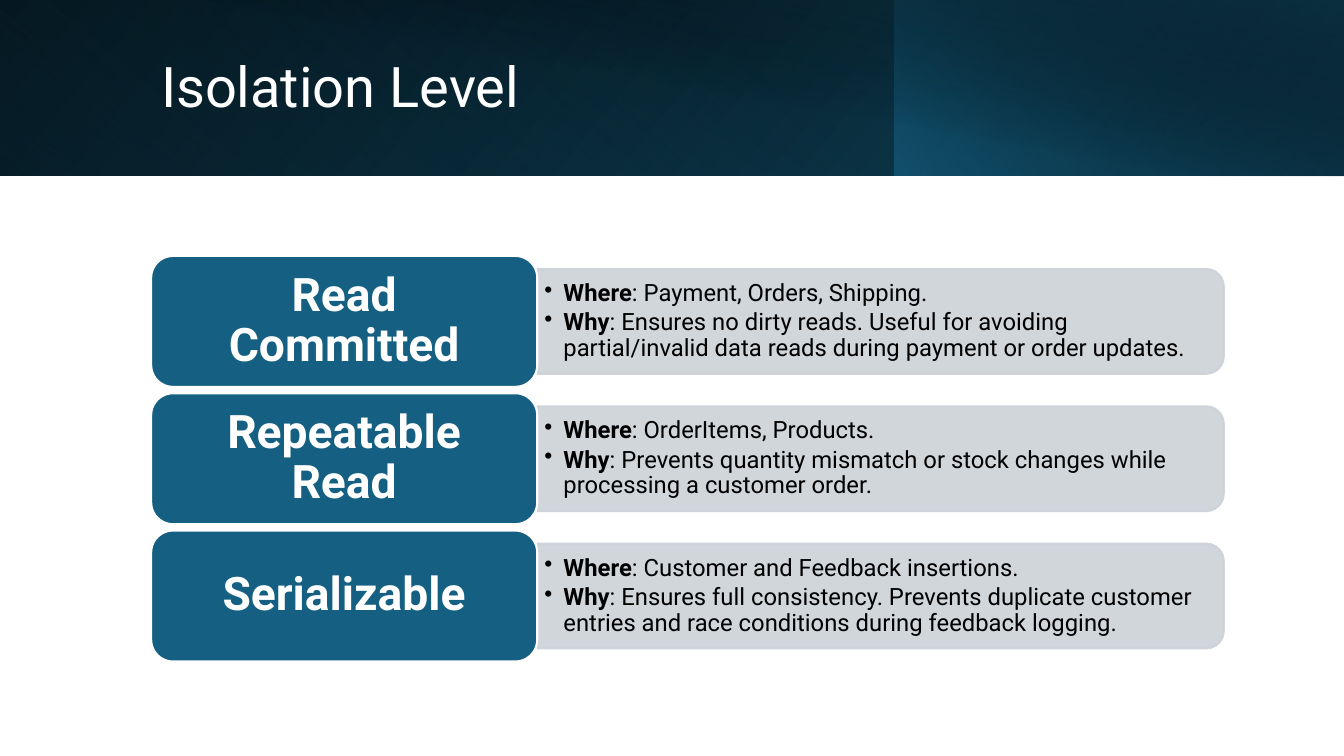
from lxml.etree import SubElement
from pptx import Presentation
from pptx.dml.color import RGBColor
from pptx.enum.shapes import MSO_SHAPE as Preset
from pptx.enum.text import MSO_ANCHOR as Anchor, PP_ALIGN as Align
from pptx.oxml.ns import qn
from pptx.util import Cm, Pt

TITLE = "Isolation Level"
LEVELS = [
    ("Read Committed", [
        ("Where", ": Payment, Orders, Shipping."),
        ("Why", ": Ensures no dirty reads. Useful for avoiding partial/invalid "
                "data reads during payment or order updates."),
    ]),
    ("Repeatable Read", [
        ("Where", ": OrderItems, Products."),
        ("Why", ": Prevents quantity mismatch or stock changes while "
                "processing a customer order."),
    ]),
    ("Serializable", [
        ("Where", ": Customer and Feedback insertions."),
        ("Why", ": Ensures full consistency. Prevents duplicate customer "
                "entries and race conditions during feedback logging."),
    ]),
]

FONT = "Roboto"
BLACK = RGBColor(0x00, 0x00, 0x00)
WHITE = RGBColor(0xFF, 0xFF, 0xFF)
TEAL = RGBColor(0x15, 0x60, 0x82)
DEEP_TEAL = RGBColor(0x10, 0x48, 0x62)
NAVY = RGBColor(0x0B, 0x30, 0x41)
GREY = RGBColor(0xCC, 0xD2, 0xD8)

SLIDE_W, SLIDE_H = 33.87, 19.05
BANNER_H, SPLIT = 4.42, 22.54
BANNER_LAYERS = [
    {"left": 0, "width": SLIDE_W, "height": BANNER_H, "flip": True, "turn": 0,
     "angle": 140, "stops": [(0, BLACK, 100), (100, DEEP_TEAL, 100)]},
    {"left": 0, "width": SPLIT, "height": BANNER_H, "flip": True, "turn": 180,
     "angle": 230, "stops": [(20, TEAL, 0), (100, NAVY, 55)]},
    {"left": SPLIT, "width": SLIDE_W - SPLIT, "height": BANNER_H, "flip": True,
     "turn": 0, "angle": 220, "stops": [(0, TEAL, 66), (100, BLACK, 30)]},
    {"left": 1.27, "width": SLIDE_W - 1.27, "height": 4.45, "flip": False,
     "turn": 0, "angle": 280, "stops": [(50, BLACK, 0), (99, NAVY, 52)]},
]

LEFT, TOP, PITCH = 3.81, 6.45, 3.46
LABEL_W, LABEL_H = 9.73, 3.3
PANEL_W, PANEL_H = 17.3, 2.64
NOTES_W, NOTES_H = 17.17, 2.39
PANEL_LEFT = LEFT + LABEL_W


def add_shape(slide, preset, left, top, width, height):
    shape = slide.shapes.add_shape(preset, Cm(left), Cm(top), Cm(width), Cm(height))
    shape.shadow.inherit = False
    return shape


def set_alpha(color_element, percent):
    SubElement(color_element, qn("a:alpha"), val=str(percent * 1000))


def add_banner_layer(slide, layer):
    shape = add_shape(slide, Preset.RECTANGLE, layer["left"], 0,
                      layer["width"], layer["height"])
    shape.rotation = layer["turn"]
    shape.line.fill.background()
    shape.fill.gradient()
    properties = shape._element.spPr
    if layer["flip"]:
        properties.find(qn("a:xfrm")).set("flipH", "1")
    gradient = properties.find(qn("a:gradFill"))
    for child in list(gradient):
        gradient.remove(child)
    stop_list = SubElement(gradient, qn("a:gsLst"))
    for position, color, opacity in layer["stops"]:
        stop = SubElement(stop_list, qn("a:gs"), pos=str(position * 1000))
        set_alpha(SubElement(stop, qn("a:srgbClr"), val=str(color)), opacity)
    SubElement(gradient, qn("a:lin"), ang=str(layer["angle"] * 60000), scaled="0")


def format_frame(shape, margin_x, margin_y):
    frame = shape.text_frame
    values = {"word_wrap": True, "vertical_anchor": Anchor.MIDDLE,
              "margin_left": Cm(margin_x), "margin_right": Cm(margin_x),
              "margin_top": Cm(margin_y), "margin_bottom": Cm(margin_y)}
    for name, value in values.items():
        setattr(frame, name, value)
    return frame


def add_text_box(slide, left, top, width, height, margin_x, margin_y):
    box = slide.shapes.add_textbox(Cm(left), Cm(top), Cm(width), Cm(height))
    return format_frame(box, margin_x, margin_y)


def add_run(paragraph, text, size, color, bold=False):
    run = paragraph.add_run()
    run.text = text
    for name, value in {"name": FONT, "size": Pt(size), "bold": bold}.items():
        setattr(run.font, name, value)
    run.font.color.rgb = color


def set_spacing(paragraph, after=None):
    paragraph.line_spacing = 0.9
    paragraph.space_before = Pt(0)
    if after:
        space = SubElement(paragraph._p.get_or_add_pPr(), qn("a:spcAft"))
        SubElement(space, qn("a:spcPct"), val=str(after * 1000))


def add_panel(slide, middle):
    shape = add_shape(slide, Preset.ROUND_2_SAME_RECTANGLE,
                      PANEL_LEFT + (PANEL_W - PANEL_H) / 2, middle - PANEL_W / 2,
                      PANEL_H, PANEL_W)
    shape.rotation = 90
    shape.fill.solid()
    shape.fill.fore_color.rgb = GREY
    shape.line.color.rgb = GREY
    shape.line.width = Pt(1.5)
    for color_element in list(shape._element.spPr.iter(qn("a:srgbClr"))):
        set_alpha(color_element, 90)


def add_notes(slide, middle, notes):
    frame = add_text_box(slide, PANEL_LEFT, middle - NOTES_H / 2,
                         NOTES_W, NOTES_H, 0.18, 0.1)
    for index, (lead, text) in enumerate(notes):
        paragraph = frame.add_paragraph() if index else frame.paragraphs[0]
        paragraph.level = 1
        set_spacing(paragraph, 15)
        properties = paragraph._p.get_or_add_pPr()
        properties.set("marL", str(Cm(0.48)))
        properties.set("indent", str(-Cm(0.48)))
        SubElement(properties, qn("a:buChar"), char="•")
        add_run(paragraph, lead, 17, BLACK, True)
        add_run(paragraph, text, 17, BLACK)


def add_label(slide, top, text):
    shape = add_shape(slide, Preset.ROUNDED_RECTANGLE, LEFT, top, LABEL_W, LABEL_H)
    shape.fill.solid()
    shape.fill.fore_color.rgb = TEAL
    shape.line.color.rgb = WHITE
    shape.line.width = Pt(1.5)
    paragraph = format_frame(shape, 0.36, 0.18).paragraphs[0]
    paragraph.alignment = Align.CENTER
    set_spacing(paragraph, 35)
    add_run(paragraph, text, 33, WHITE, True)


def main():
    presentation = Presentation()
    presentation.slide_width, presentation.slide_height = Cm(SLIDE_W), Cm(SLIDE_H)
    slide = presentation.slides.add_slide(presentation.slide_layouts[6])

    for layer in BANNER_LAYERS:
        add_banner_layer(slide, layer)
    title = add_text_box(slide, LEFT, 0.81, 27.48, 2.87, 0.25, 0.13).paragraphs[0]
    set_spacing(title)
    add_run(title, TITLE, 40, WHITE)

    for index, (name, notes) in enumerate(LEVELS):
        top = TOP + index * PITCH
        middle = top + LABEL_H / 2
        add_panel(slide, middle)
        add_notes(slide, middle, notes)
        add_label(slide, top, name)

    presentation.save("out.pptx")


if __name__ == "__main__":
    main()
